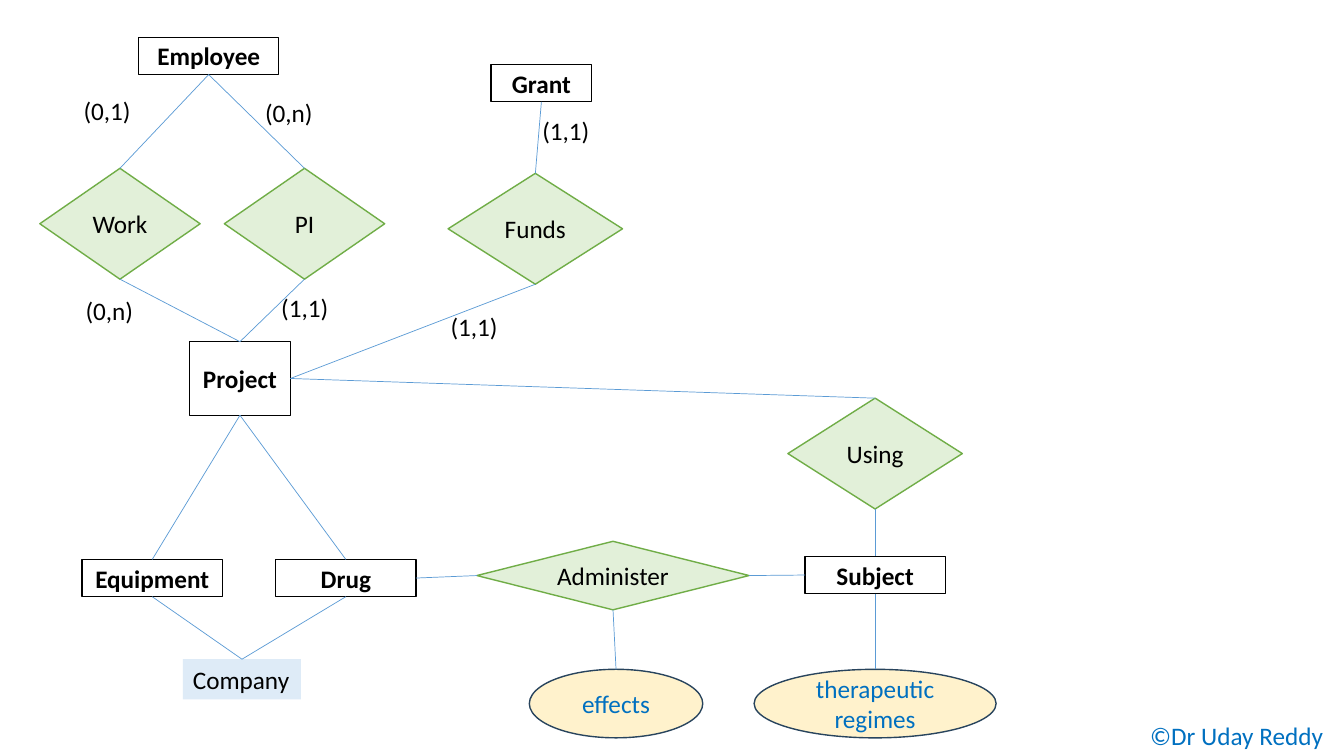
from lxml.etree import SubElement
from pptx import Presentation
from pptx.dml.color import RGBColor
from pptx.enum.shapes import MSO_CONNECTOR, MSO_SHAPE
from pptx.enum.text import MSO_ANCHOR, PP_ALIGN
from pptx.oxml.ns import qn
from pptx.util import Inches, Pt

TOP, LEFT, LOW, RIGHT = range(4)

# Look of each kind of node: preset, fill, line, text colour, bold
KINDS = {
    "entity": (MSO_SHAPE.RECTANGLE, "FFFFFF", "000000", "000000", True),
    "relation": (MSO_SHAPE.DIAMOND, "E2F0D9", "70AD47", "000000", False),
    "value": (MSO_SHAPE.OVAL, "FFF2CC", "28445D", "0070C0", False),
    "source": (MSO_SHAPE.RECTANGLE, "DEEBF7", None, "000000", False),
}


def color(code):
    return RGBColor.from_string(code)


class Chart:
    """Entity diagram on a grid of ten columns and ten rows to the inch."""

    def __init__(self, deck):
        self.slide = deck.slides.add_slide(deck.slide_layouts[6])
        self.font = {"name": "Calibri", "size": Pt(18)}
        self.nodes = {}

    def grid(self, *cells):
        return [Inches(cell / 10) for cell in cells]

    def letter(self, shape, text, ink="000000", bold=False, wrap=True,
               anchor=MSO_ANCHOR.TOP, align=PP_ALIGN.LEFT):
        frame = shape.text_frame
        frame.word_wrap, frame.vertical_anchor = wrap, anchor
        para = frame.paragraphs[0]
        para.alignment = align
        run = para.add_run()
        run.text = text
        for key, value in {**self.font, "bold": bold}.items():
            setattr(run.font, key, value)
        run.font.color.rgb = color(ink)

    def node(self, kind, name, mid, top, wide, high):
        preset, fill, line, ink, bold = KINDS[kind]
        shape = self.slide.shapes.add_shape(
            preset, *self.grid(mid - wide / 2, top, wide, high))
        shape.shadow.inherit = False
        shape.fill.solid()
        shape.fill.fore_color.rgb = color(fill)
        if line:
            shape.line.color.rgb = color(line)
            shape.line.width = Pt(1)
            self.letter(shape, name, ink, bold, anchor=MSO_ANCHOR.MIDDLE,
                        align=PP_ALIGN.CENTER)
        else:
            shape.line.fill.background()
            self.letter(shape, name, ink, bold, wrap=False)
        self.nodes[name] = shape

    def link(self, start, out, end, into):
        line = self.slide.shapes.add_connector(
            MSO_CONNECTOR.STRAIGHT, 0, 0, 0, 0)
        line.begin_connect(self.nodes[start], out)
        line.end_connect(self.nodes[end], into)
        line.line.color.rgb = color("5B9BD5")
        line.line.width = Pt(0.5)
        SubElement(line._element.spPr, qn("a:effectLst"))

    def label(self, text, left, top, wide=6.8, **look):
        box = self.slide.shapes.add_textbox(*self.grid(left, top, wide, 4))
        self.letter(box, text, **look)


def main():
    deck = Presentation()
    deck.slide_width, deck.slide_height = Inches(13.33), Inches(7.5)
    chart = Chart(deck)

    # Nodes: kind, name, centre column, top row, columns wide, rows high
    for item in (
        ("entity", "Project", 23.8, 33.9, 10, 7.3),
        ("entity", "Grant", 53.7, 6.4, 10, 3.7),
        ("entity", "Employee", 20.7, 3.7, 13.9, 3.7),
        ("entity", "Equipment", 15.1, 55.5, 13.9, 3.7),
        ("entity", "Drug", 34.3, 55.5, 13.9, 3.7),
        ("entity", "Subject", 86.8, 55.2, 13.9, 3.7),
        ("relation", "Work", 11.9, 16.7, 15.9, 11),
        ("relation", "PI", 30.2, 16.7, 15.9, 11),
        ("relation", "Funds", 53.1, 17.2, 17.3, 11),
        ("relation", "Using", 86.8, 39.5, 17.3, 11),
        ("relation", "Administer", 60.8, 53.7, 27, 6.8),
        ("source", "Company", 24, 65.4, 11.7, 4),
        ("value", "effects", 61.1, 66.4, 17.2, 6.8),
        ("value", "therapeutic regimes", 86.8, 66.4, 24, 6.8),
    ):
        chart.node(*item)

    # Links that run down from one node to the next
    for start, end in (
        ("Employee", "Work"), ("Employee", "PI"),
        ("Work", "Project"), ("PI", "Project"), ("Grant", "Funds"),
        ("Project", "Equipment"), ("Project", "Drug"),
        ("Equipment", "Company"), ("Drug", "Company"),
        ("Using", "Subject"), ("Subject", "therapeutic regimes"),
        ("Administer", "effects"),
    ):
        chart.link(start, LOW, end, TOP)

    # Links that leave from a side
    chart.link("Project", RIGHT, "Funds", LOW)
    chart.link("Project", RIGHT, "Using", TOP)
    chart.link("Drug", RIGHT, "Administer", LEFT)
    chart.link("Administer", RIGHT, "Subject", LEFT)

    # Cardinalities
    for text, left, top in (
        ("(1,1)", 52.8, 10.9), ("(1,1)", 43.7, 30.4), ("(0,n)", 25.3, 9.2),
        ("(0,1)", 7.3, 9), ("(0,n)", 7.5, 28.8), ("(1,1)", 26.9, 28.5),
    ):
        chart.label(text, left, top, wrap=False)

    # Author
    chart.label("©Dr Uday Reddy", 113.1, 71, 20.2, ink="0070C0")

    deck.save("out.pptx")


if __name__ == "__main__":
    main()
